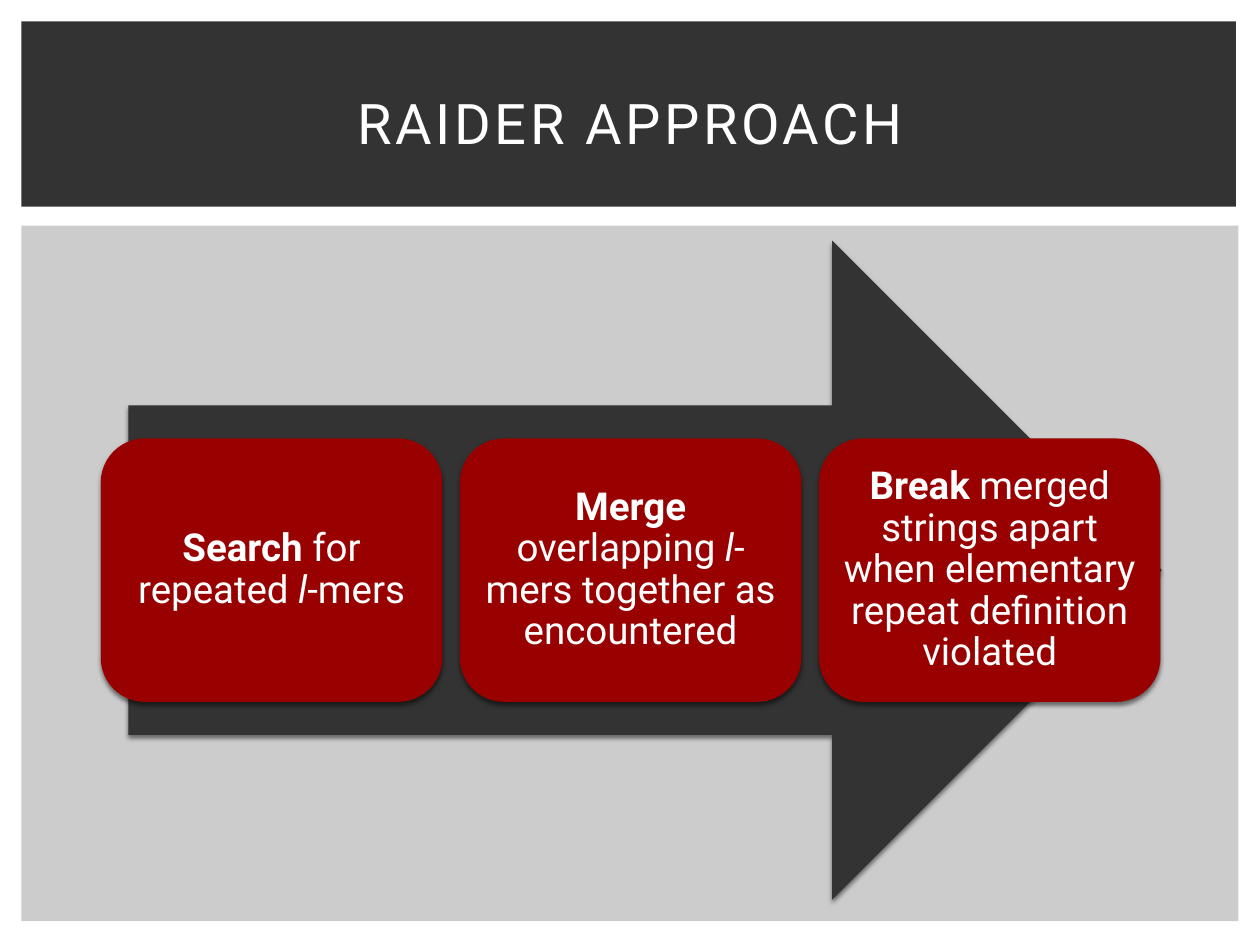
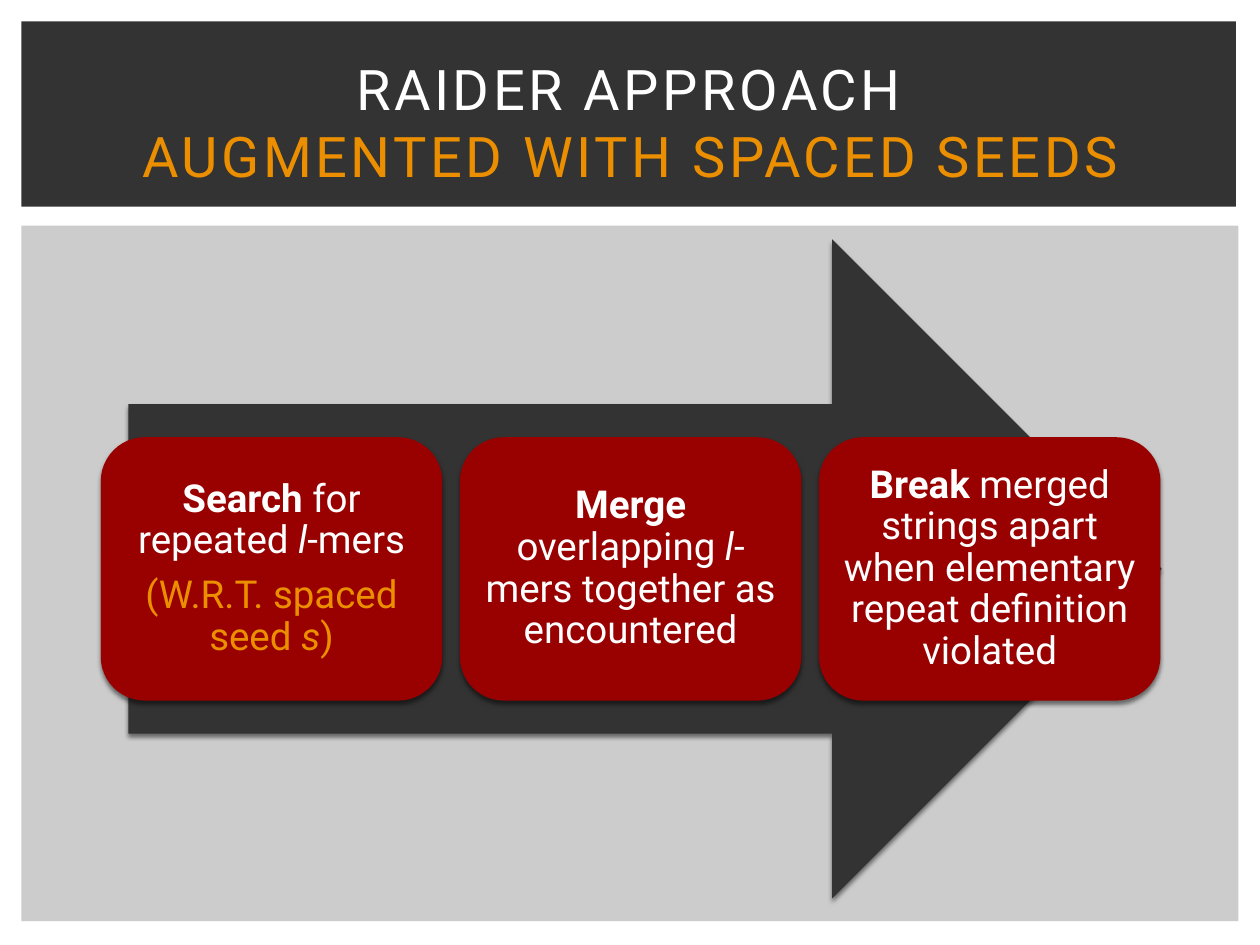
from lxml.etree import SubElement
from pptx import Presentation
from pptx.dml.color import RGBColor
from pptx.enum.shapes import MSO_SHAPE
from pptx.enum.text import MSO_ANCHOR, PP_ALIGN
from pptx.oxml.ns import qn
from pptx.util import Inches, Pt

DARK = RGBColor(0x33, 0x33, 0x33)
GREY = RGBColor(0xCC, 0xCC, 0xCC)
RED = RGBColor(0x99, 0x00, 0x00)
WHITE = RGBColor(0xFF, 0xFF, 0xFF)
GOLD = RGBColor(0xEB, 0x8F, 0x00)
FONT = "Roboto"

# Each step is a list of paragraphs; each run is (text, style, colour).
SEARCH = [("Search ", "b", WHITE), ("for repeated ", "", WHITE),
          ("l", "i", WHITE), ("-mers", "", WHITE)]
SEED = [("(W.R.T. spaced seed ", "", GOLD), ("s", "i", GOLD), (")", "", GOLD)]
MERGE = [("Merge", "b", WHITE), (" overlapping ", "", WHITE),
         ("l", "i", WHITE), ("-mers together as encountered", "", WHITE)]
BREAK = [("Break", "b", WHITE),
         (" merged strings apart when elementary repeat definition violated",
          "", WHITE)]
TITLE = ("RAIDER APPROACH", WHITE)
AUGMENT = ("AUGMENTED WITH SPACED SEEDS", GOLD)

# Title lines, arrow top, steps
PAGES = [
    ([TITLE], 1.91, [[SEARCH], [MERGE], [BREAK]]),
    ([TITLE, AUGMENT], 1.9, [[SEARCH, SEED], [MERGE], [BREAK]]),
]
ARROW_H, BOX_W, BOX_H, PITCH = 5.23, 2.71, 2.09, 2.85


def add_block(slide, kind, left, top, width, height, color, shadow=False):
    """Add a filled shape without outline, with a soft drop shadow if asked."""
    shape = slide.shapes.add_shape(kind, Inches(left), Inches(top),
                                   Inches(width), Inches(height))
    shape.fill.solid()
    shape.fill.fore_color.rgb = color
    shape.line.fill.background()
    shape.shadow.inherit = False
    if shadow:
        effects = shape.element.spPr.find(qn("a:effectLst"))
        outer = SubElement(effects, qn("a:outerShdw"), blurRad=str(Pt(2.5)),
                           dist=str(Pt(2)), dir="5400000", rotWithShape="0")
        black = SubElement(outer, qn("a:srgbClr"), val="000000")
        SubElement(black, qn("a:alpha"), val="50000")
    return shape


def add_run(para, text, size, color):
    """Add one run in the deck font and return it."""
    run = para.add_run()
    run.text = text
    run.font.name = FONT
    run.font.size = Pt(size)
    run.font.color.rgb = color
    return run


deck = Presentation()
deck.slide_width = Inches(10)
deck.slide_height = Inches(7.5)

for lines, top, steps in PAGES:
    slide = deck.slides.add_slide(deck.slide_layouts[6])
    add_block(slide, MSO_SHAPE.RECTANGLE, 0.17, 1.79, 9.66, 5.52, GREY)
    add_block(slide, MSO_SHAPE.RECTANGLE, 0.17, 0.17, 9.64, 1.47, DARK)

    # Title
    title = slide.shapes.add_textbox(Inches(0.42), Inches(0.39),
                                     Inches(9.17), Inches(1.15))
    frame = title.text_frame
    frame.word_wrap = True
    frame.vertical_anchor = MSO_ANCHOR.MIDDLE
    para = frame.paragraphs[0]
    para.alignment = PP_ALIGN.CENTER
    for i, (text, color) in enumerate(lines):
        if i:
            para.add_line_break()
        run = add_run(para, text, 32, color)
        run.font._element.set("spc", "200")

    # Arrow with the steps centred on it
    add_block(slide, MSO_SHAPE.RIGHT_ARROW, 1.02, top, 8.2, ARROW_H, DARK, True)
    for col, step in enumerate(steps):
        box = add_block(slide, MSO_SHAPE.ROUNDED_RECTANGLE, 0.8 + col * PITCH,
                        top + (ARROW_H - BOX_H) / 2, BOX_W, BOX_H, RED, True)
        frame = box.text_frame
        frame.word_wrap = True
        frame.vertical_anchor = MSO_ANCHOR.MIDDLE
        frame.margin_left = frame.margin_right = Inches(0.09)
        frame.margin_top = frame.margin_bottom = Inches(0.09)
        for i, runs in enumerate(step):
            para = frame.add_paragraph() if i else frame.paragraphs[0]
            para.alignment = PP_ALIGN.CENTER
            para.line_spacing = 0.9
            para.space_after = Pt(7.7)
            for text, style, color in runs:
                run = add_run(para, text, 22, color)
                run.font.bold = style == "b"
                run.font.italic = style == "i"

deck.save("out.pptx")
